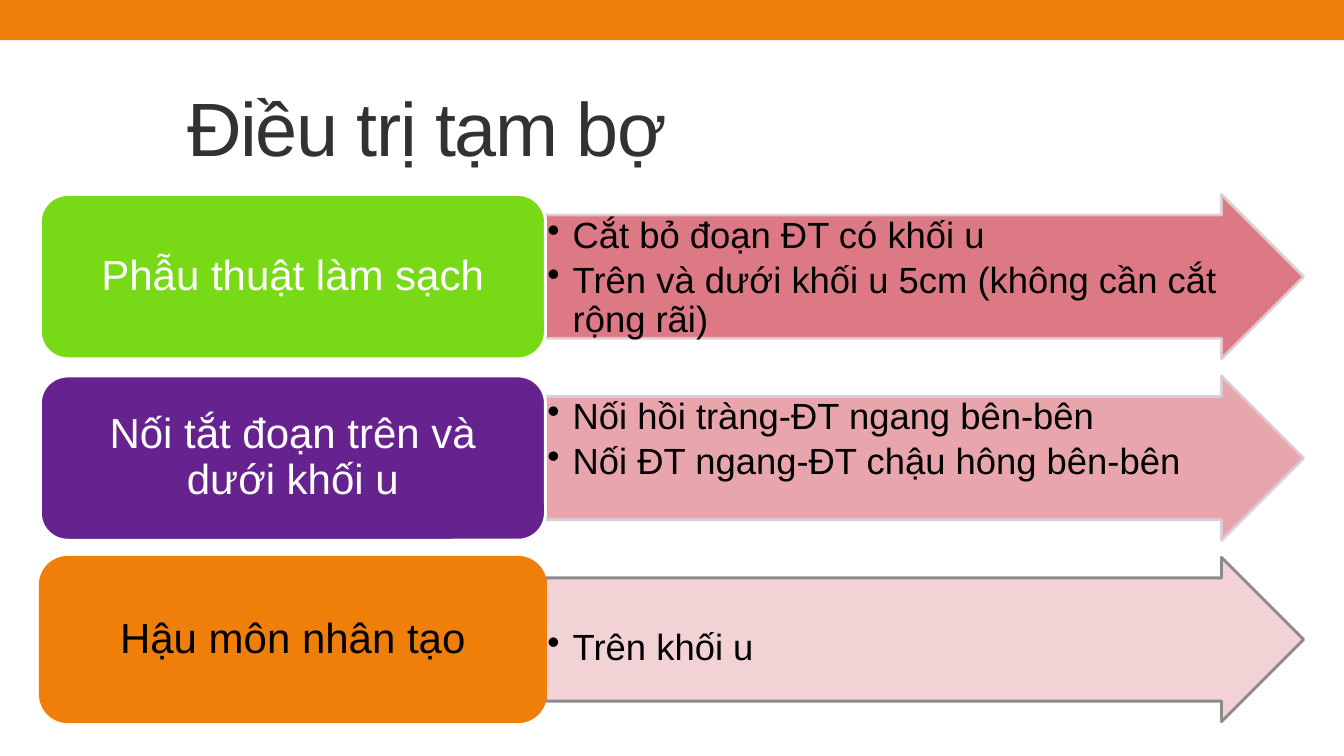
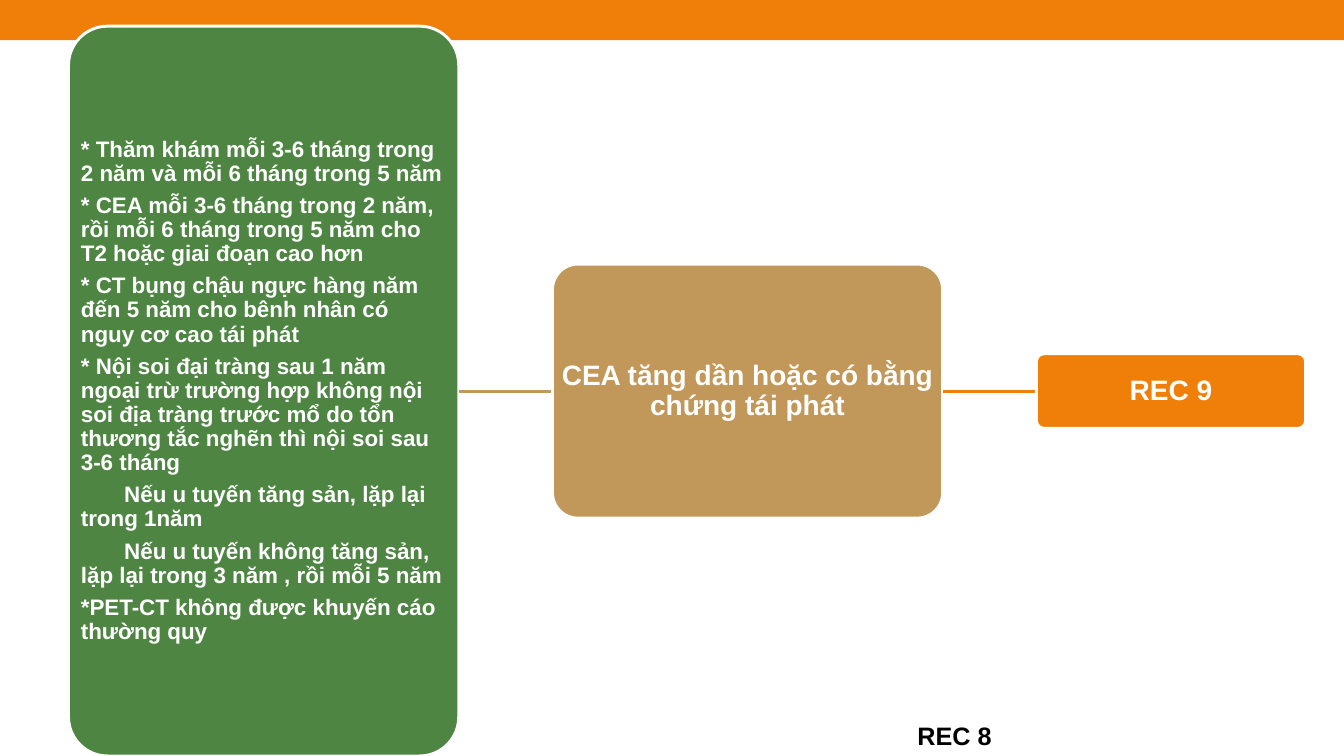
from dataclasses import dataclass

from pptx import Presentation
from pptx import util as u
from pptx.dml.color import RGBColor
from pptx.enum import shapes, text
from pptx.oxml.ns import qn

PX = 9144  # EMU per px, 100 px to the inch
WIDTH, HEIGHT = 1333, 750
FONT = "Arial"
ORANGE, WHITE, BLACK, DARK = "F07F09", "FFFFFF", "000000", "323232"
GREEN, TAN = "4E8542", "C19859"
LINE_PT = 2.08


@dataclass
class Row:
    label: str
    fill: str
    outline: str
    label_color: str
    points: list[str]
    arrow_fill: str
    arrow_line: str
    top_inset: int = 2


@dataclass
class Para:
    text: str
    first_indent: int = 0


@dataclass
class Node:
    paras: list[Para]
    w: int
    h: int
    fill: str
    size: int = 20
    align: str = "ctr"


# Content
ROWS = [
    Row("Phẫu thuật làm sạch", "78D917", WHITE, WHITE,
        ["Cắt bỏ đoạn ĐT có khối u",
         "Trên và dưới khối u 5cm (không cần cắt rộng rãi)"],
        "D96B77", "DFCDCE"),
    Row("Nối tắt đoạn trên và dưới khối u", "66228E", WHITE, WHITE,
        ["Nối hồi tràng-ĐT ngang bên-bên",
         "Nối ĐT ngang-ĐT chậu hông bên-bên"],
        "E69CA4", "D8CDDB"),
    Row("Hậu môn nhân tạo", ORANGE, ORANGE, BLACK,
        ["Trên khối u"], "F2CED2", "808080", top_inset=51),
]

FOLLOW_UP = [
    Para("* Thăm khám mỗi 3-6 tháng trong 2 năm và mỗi 6 tháng trong 5 năm"),
    Para("* CEA mỗi 3-6 tháng trong 2 năm, rồi mỗi 6 tháng trong 5 năm "
         "cho T2 hoặc giai đoạn cao hơn"),
    Para("* CT bụng chậu ngực hàng năm đến 5 năm cho bênh nhân có nguy cơ "
         "cao tái phát"),
    Para("* Nội soi đại tràng sau 1 năm ngoại trừ trường hợp không nội soi "
         "địa tràng trước mổ do tổn thương tắc nghẽn thì nội soi sau "
         "3-6 tháng"),
    Para("Nếu u tuyến tăng sản, lặp lại trong 1năm", 43),
    Para("Nếu u tuyến không tăng sản, lặp lại trong 3 năm , rồi mỗi 5 năm", 43),
    Para("*PET-CT không được khuyến cáo thường quy"),
]

NODES = [
    Node(FOLLOW_UP, 387, 724, GREEN, size=16, align="l"),
    Node([Para("CEA tăng dần hoặc có bằng chứng tái phát")], 387, 252, TAN),
    Node([Para("REC 9")], 267, 74, ORANGE),
]


# Helpers
def px(n: int) -> int:
    return u.Emu(n * PX)


def rgb(value: str) -> RGBColor:
    return RGBColor.from_string(value)


def put_text(sp, paras: list[Para], *, size: int, color: str, bold=False,
             align="l", anchor="ctr", insets=(10, 5, 10, 5), leading=None,
             after=0.0, bullet=False, spacing=0) -> None:
    """Fill a shape; after is the paragraph gap as a share of the text size."""
    tf = sp.text_frame
    tf.word_wrap = True
    tf.vertical_anchor = text.MSO_ANCHOR.from_xml(anchor)
    tf.margin_left, tf.margin_top, tf.margin_right, tf.margin_bottom = map(px, insets)
    for i, para in enumerate(paras):
        p = tf.paragraphs[0] if i == 0 else tf.add_paragraph()
        p.alignment = text.PP_ALIGN.from_xml(align)
        p.space_after = u.Pt(round(size * after, 2))
        if leading:
            p.line_spacing = leading
        pPr = p._p.get_or_add_pPr()
        if bullet:
            pPr.set("marL", str(px(25)))
            pPr.set("indent", str(px(-25)))
            mark = pPr.makeelement(qn("a:buChar"), {"char": "•"})
            pPr.append(mark)
        elif para.first_indent:
            pPr.set("marL", "0")
            pPr.set("indent", str(px(para.first_indent)))
        r = p.add_run()
        r.text = para.text
        r.font.name = FONT
        r.font.size = u.Pt(size)
        r.font.bold = bold
        r.font.color.rgb = rgb(color)
        if spacing:
            r._r.get_or_add_rPr().set("spc", str(spacing))


def add_box(s, kind, x: int, y: int, w: int, h: int, fill: str,
            line: str | None = None, adj=(), alpha: int = 100):
    sp = s.shapes.add_shape(kind, px(x), px(y), px(w), px(h))
    sp.shadow.inherit = False
    sp.fill.solid()
    sp.fill.fore_color.rgb = rgb(fill)
    if line:
        sp.line.color.rgb = rgb(line)
        sp.line.width = u.Pt(LINE_PT)
    else:
        sp.line.fill.background()
    for i, value in enumerate(adj):
        sp.adjustments[i] = value
    if alpha < 100:
        for clr in sp._element.spPr.iter(qn("a:srgbClr")):
            clr.append(clr.makeelement(qn("a:alpha"), {"val": str(alpha * 1000)}))
    return sp


def add_textbox(s, x: int, y: int, w: int, h: int, content: str, **fmt) -> None:
    sp = s.shapes.add_textbox(px(x), px(y), px(w), px(h))
    put_text(sp, [Para(content)], **fmt)


def add_link(s, x1: int, x2: int, y: int, color: str) -> None:
    c = s.shapes.add_connector(shapes.MSO_CONNECTOR.STRAIGHT,
                               px(x1), px(y), px(x2), px(y))
    c.line.color.rgb = rgb(color)
    c.line.width = u.Pt(LINE_PT)
    spPr = c._element.spPr
    spPr.append(spPr.makeelement(qn("a:effectLst"), {}))


def new_slide(prs):
    s = prs.slides.add_slide(prs.slide_layouts[6])
    add_box(s, shapes.MSO_SHAPE.RECTANGLE, 0, 0, WIDTH, 40, ORANGE)
    return s


# Slides
def palliative_slide(prs) -> None:
    s = new_slide(prs)
    add_textbox(s, 176, 55, 975, 140, "Điều trị tạm bợ",
                size=54, color=DARK, spacing=-100)
    left, label_w, arrow_w, h, top, pitch = 40, 501, 752, 163, 193, 180
    for i, row in enumerate(ROWS):
        y = top + i * pitch
        arrow = add_box(s, shapes.MSO_SHAPE.RIGHT_ARROW, left + label_w, y,
                        arrow_w, h, row.arrow_fill, row.arrow_line,
                        adj=(0.75, 0.5), alpha=90)
        put_text(arrow, [Para(t) for t in row.points], size=26, color=BLACK,
                 anchor="t", insets=(2, row.top_inset, 2, 2), leading=0.9,
                 after=0.15, bullet=True)
        label = add_box(s, shapes.MSO_SHAPE.ROUNDED_RECTANGLE, left, y,
                        label_w, h, row.fill, row.outline)
        put_text(label, [Para(row.label)], size=30, color=row.label_color,
                 align="ctr", insets=(12, 6, 12, 6), leading=0.9, after=0.35)


def follow_up_slide(prs) -> None:
    s = new_slide(prs)
    x, middle, gap = 68, 388, 93
    for i, node in enumerate(NODES):
        if i:
            add_link(s, x - gap, x, middle, node.fill)
        box = add_box(s, shapes.MSO_SHAPE.ROUNDED_RECTANGLE, x,
                      middle - node.h // 2, node.w, node.h, node.fill, WHITE,
                      adj=(0.1,))
        put_text(box, node.paras, size=node.size, color=WHITE, bold=True,
                 align=node.align, insets=(1, 1, 1, 1), leading=0.9, after=0.35)
        x += node.w + gap
    add_textbox(s, 900, 710, 208, 40, "REC 8", size=18, color=BLACK,
                bold=True, anchor="t")


def main() -> None:
    prs = Presentation()
    prs.slide_width, prs.slide_height = px(WIDTH), px(HEIGHT)
    palliative_slide(prs)
    follow_up_slide(prs)
    prs.save("out.pptx")


if __name__ == "__main__":
    main()
